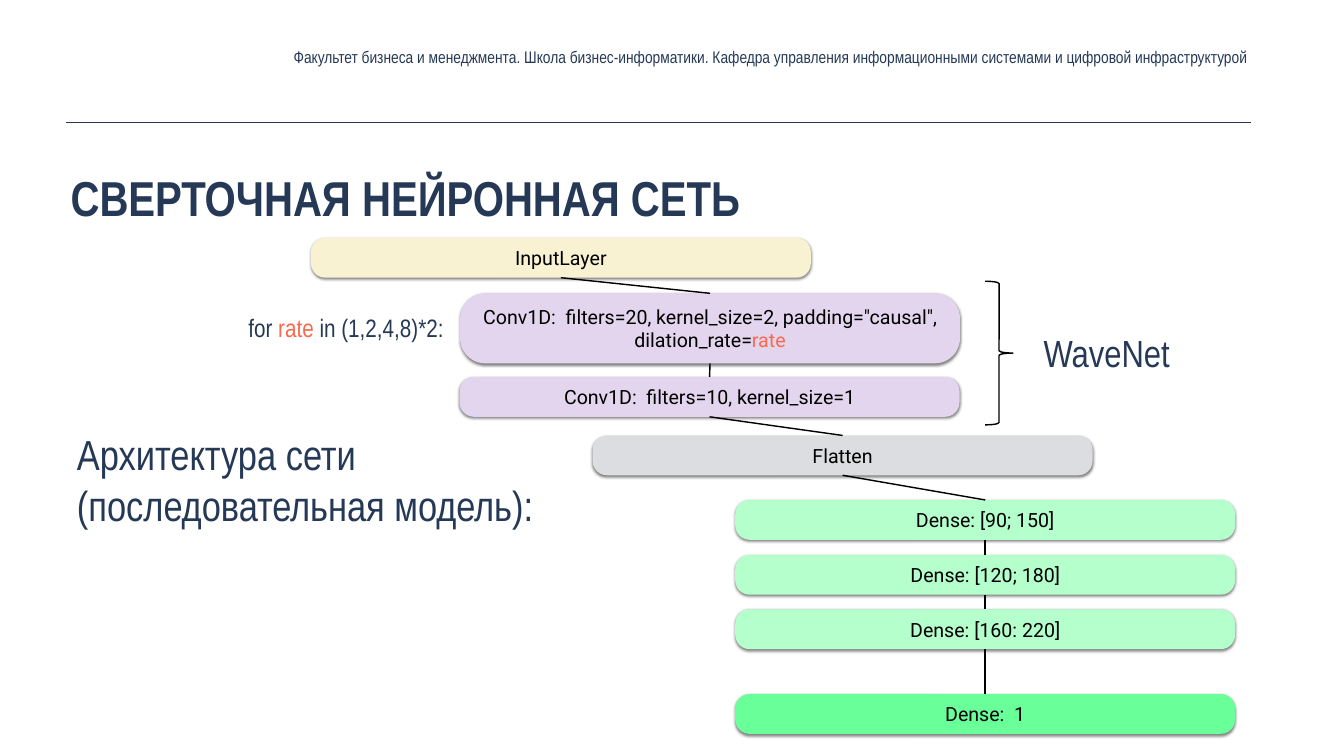
"""Builds the slide describing the architecture of a convolutional network."""
import dataclasses
import itertools
import typing

import lxml.etree
import pptx
import pptx.dml.color
import pptx.enum.shapes
import pptx.enum.text
import pptx.oxml.ns
import pptx.util

PX = 9144
NAVY, CORAL, BLACK = "253957", "FA694E", "000000"
LILAC, CREAM, GREY, MINT, GREEN = "E4D5EE", "F8F2D3", "DCDDE0", "B4FFCC", "69FF99"
LAYER_WIDTH, LAYER_HEIGHT = 992, 79
ALIGN = pptx.enum.text.PP_ALIGN
ANCHOR = pptx.enum.text.MSO_ANCHOR
SHAPE = pptx.enum.shapes.MSO_SHAPE


class Span(typing.NamedTuple):
    """A piece of text in one colour."""
    text: str
    color: str


@dataclasses.dataclass
class Label:
    """A free text block; each entry of lines is one paragraph."""
    area: tuple[int, int, int, int]
    lines: list[list[Span]]
    size: int
    bold: bool = False
    align: ALIGN = ALIGN.LEFT
    anchor: ANCHOR = ANCHOR.TOP
    wrap: bool = True
    margins: tuple[int, int] = (10, 5)


@dataclasses.dataclass
class Layer:
    """A rounded box for one layer of the network."""
    left: int
    top: int
    fill: str
    spans: list[Span]
    height: int = LAYER_HEIGHT


LABELS = [
    Label((132, 325, 1758, 253), [[Span("СВЕРТОЧНАЯ НЕЙРОННАЯ СЕТЬ", NAVY)]], 70,
          bold=True, margins=(8, 8)),
    Label((333, 83, 2150, 60),
          [[Span("Факультет бизнеса и менеджмента. Школа бизнес-информатики. "
                 "Кафедра управления информационными системами и цифровой инфраструктурой",
                 NAVY)]],
          24, align=ALIGN.RIGHT, anchor=ANCHOR.MIDDLE, margins=(8, 8)),
    Label((143, 846, 947, 212),
          [[Span("Архитектура cети", NAVY)], [Span("(последовательная модель):", NAVY)]],
          60, wrap=False),
    Label((2061, 649, 276, 101), [[Span("WaveNet", NAVY)]], 54),
    Label((483, 614, 449, 71),
          [[Span("for ", NAVY), Span("rate", CORAL), Span(" in (1,2,4,8)*2:", NAVY)]], 36),
]

LAYERS = [
    Layer(617, 472, CREAM, [Span("InputLayer", BLACK)]),
    Layer(913, 582, LILAC,
          [Span('Conv1D:  filters=20, kernel_size=2, padding="causal", dilation_rate=', BLACK),
           Span("rate", CORAL)], 139),
    Layer(912, 748, LILAC, [Span("Conv1D:  filters=10, kernel_size=1", BLACK)]),
    Layer(1176, 864, GREY, [Span("Flatten", BLACK)]),
    Layer(1459, 992, MINT, [Span("Dense: [90; 150]", BLACK)]),
    Layer(1459, 1101, MINT, [Span("Dense: [120; 180]", BLACK)]),
    Layer(1459, 1209, MINT, [Span("Dense: [160: 220]", BLACK)]),
    Layer(1459, 1377, GREEN, [Span("Dense:  1", BLACK)]),
]


def px(*lengths: int) -> list[int]:
    """Turn px lengths into EMU."""
    return [length * PX for length in lengths]


def rgb(value: str) -> pptx.dml.color.RGBColor:
    """Turn a hex string into a colour."""
    return pptx.dml.color.RGBColor.from_string(value)


def apply(target: typing.Any, values: dict[str, typing.Any]) -> None:
    """Set each named attribute on the target."""
    for name, value in values.items():
        setattr(target, name, value)


def write(frame: typing.Any, lines: list[list[Span]], font: dict[str, typing.Any],
          align: ALIGN, anchor: ANCHOR, wrap: bool, margins: tuple[int, int]) -> None:
    """Fill a text frame with formatted paragraphs."""
    side, edge = px(*margins)
    apply(frame, {"word_wrap": wrap, "vertical_anchor": anchor,
                  "margin_left": side, "margin_right": side,
                  "margin_top": edge, "margin_bottom": edge})
    for index, line in enumerate(lines):
        para = frame.add_paragraph() if index else frame.paragraphs[0]
        para.alignment = align
        for span in line:
            run = para.add_run()
            run.text = span.text
            apply(run.font, font)
            run.font.color.rgb = rgb(span.color)


def add_label(page: typing.Any, label: Label) -> None:
    """Place a free text block."""
    box = page.shapes.add_textbox(*px(*label.area))
    font = {"name": "Arial Narrow", "size": pptx.util.Pt(label.size), "bold": label.bold}
    write(box.text_frame, label.lines, font, label.align, label.anchor,
          label.wrap, label.margins)


def add_shadow(box: typing.Any) -> None:
    """Give a box a soft shadow straight below it."""
    box.shadow.inherit = False
    qn = pptx.oxml.ns.qn
    effects = box._element.spPr.find(qn("a:effectLst"))
    shadow = lxml.etree.SubElement(effects, qn("a:outerShdw"), blurRad="50800",
                                   dist="25400", dir="5400000", rotWithShape="0")
    color = lxml.etree.SubElement(shadow, qn("a:srgbClr"), val=BLACK)
    lxml.etree.SubElement(color, qn("a:alpha"), val="50000")


def add_layer(page: typing.Any, layer: Layer) -> typing.Any:
    """Place the box of one layer and return it."""
    box = page.shapes.add_shape(SHAPE.ROUNDED_RECTANGLE,
                                *px(layer.left, layer.top, LAYER_WIDTH, layer.height))
    box.adjustments[0] = 0.36
    box.fill.solid()
    box.fill.fore_color.rgb = rgb(layer.fill)
    box.line.fill.background()
    add_shadow(box)
    font = {"name": "Roboto", "size": pptx.util.Pt(28)}
    write(box.text_frame, [layer.spans], font, ALIGN.CENTER, ANCHOR.MIDDLE, True, (8, 8))
    return box


def add_line(page: typing.Any, ends: tuple[int, int, int, int], color: str,
             points: int) -> typing.Any:
    """Draw a straight line without a shadow and return it."""
    line = page.shapes.add_connector(pptx.enum.shapes.MSO_CONNECTOR.STRAIGHT, *px(*ends))
    line.line.color.rgb = rgb(color)
    line.line.width = pptx.util.Pt(points)
    lxml.etree.SubElement(line._element.spPr, pptx.oxml.ns.qn("a:effectLst"))
    return line


def add_brace(page: typing.Any) -> None:
    """Draw the brace that groups the convolution layers."""
    brace = page.shapes.add_shape(SHAPE.RIGHT_BRACE, *px(1955, 558, 55, 285))
    brace.shadow.inherit = False
    brace.fill.background()
    brace.line.color.rgb = rgb(BLACK)
    brace.line.width = pptx.util.Pt(2)


def main() -> None:
    """Build the deck and save it."""
    deck = pptx.Presentation()
    deck.slide_width, deck.slide_height = px(2667, 1500)
    page = deck.slides.add_slide(deck.slide_layouts[6])
    add_line(page, (131, 242, 2483, 242), NAVY, 1)
    for label in LABELS:
        add_label(page, label)
    boxes = [add_layer(page, layer) for layer in LAYERS]
    add_brace(page)
    for upper, lower in itertools.pairwise(boxes):
        link = add_line(page, (0, 0, 0, 0), BLACK, 2)
        link.begin_connect(upper, 2)
        link.end_connect(lower, 0)
    deck.save("out.pptx")


if __name__ == "__main__":
    main()
